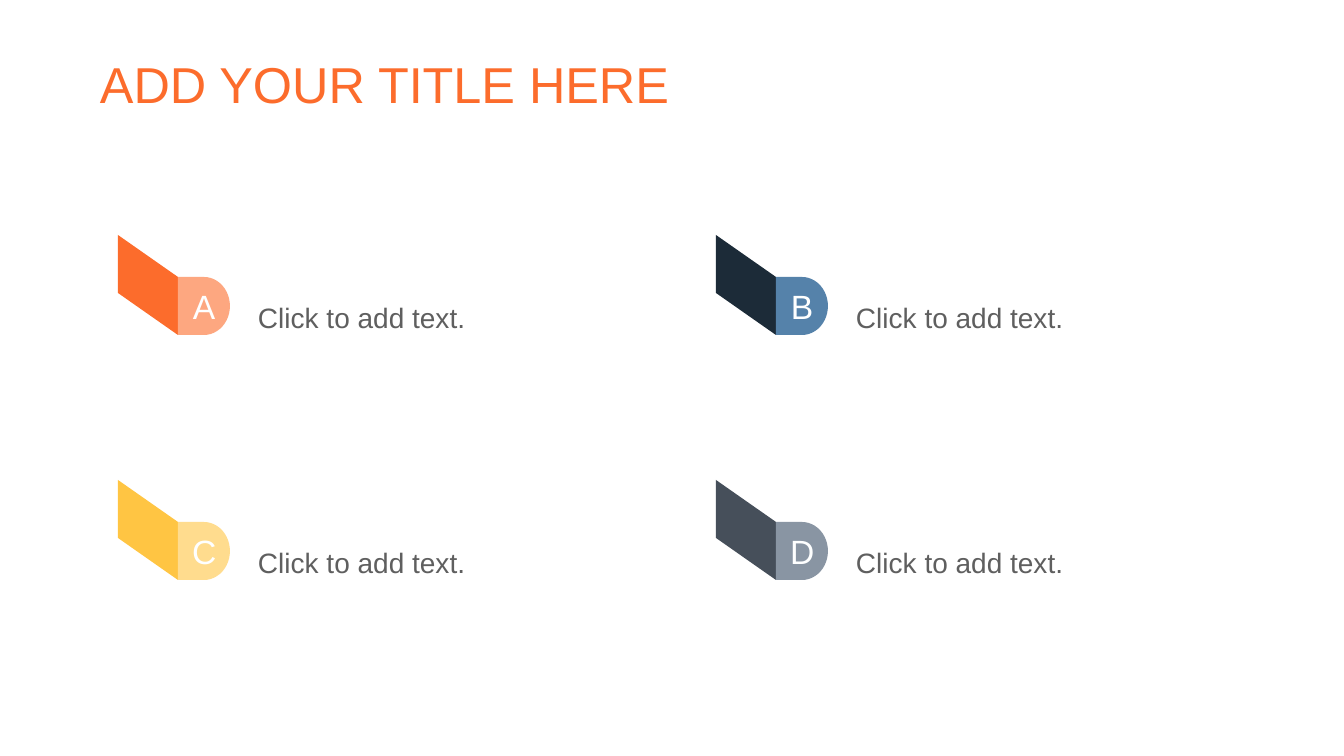
from pptx import Presentation
from pptx import util as u
from pptx.dml.color import RGBColor
from pptx.enum import shapes, text

PX = u.Inches(1) / 100.8

ORANGE = RGBColor(0xFC, 0x6C, 0x2C)
PEACH = RGBColor(0xFD, 0xA7, 0x80)
NAVY = RGBColor(0x1C, 0x2B, 0x38)
BLUE = RGBColor(0x55, 0x82, 0xAA)
YELLOW = RGBColor(0xFF, 0xC5, 0x43)
CREAM = RGBColor(0xFF, 0xDC, 0x8E)
SLATE = RGBColor(0x46, 0x4F, 0x5A)
SILVER = RGBColor(0x89, 0x95, 0xA3)
GREY = RGBColor(0x5F, 0x5F, 0x5F)
WHITE = RGBColor(0xFE, 0xFF, 0xFF)


def px(*lengths):
    return [u.Emu(round(n * PX)) for n in lengths]


def write(sp, words, size, color, insets, align=text.PP_ALIGN.LEFT, spacing=1.0):
    """Fill a shape with one middle-anchored line; insets are left, top, right, bottom in px."""
    tf = sp.text_frame
    tf.word_wrap = True
    tf.vertical_anchor = text.MSO_ANCHOR.MIDDLE
    tf.margin_left, tf.margin_top, tf.margin_right, tf.margin_bottom = px(*insets)
    p = tf.paragraphs[0]
    p.alignment = align
    p.line_spacing = spacing
    r = p.add_run()
    r.text = words
    r.font.name = "Arial"
    r.font.size = u.Pt(size)
    r.font.color.rgb = color


prs = Presentation()
prs.slide_width, prs.slide_height = px(1344, 756)
s = prs.slides.add_slide(prs.slide_layouts[6])

# Four lettered ribbons in a two by two grid
LEFT, TOP, COLUMN_STEP, ROW_STEP = 118, 235, 598, 245
FOLD_W, FOLD_DROP, TAB_W, TAB_H = 60, 42, 52, 58
ribbons = [
    ("A", ORANGE, PEACH),
    ("B", NAVY, BLUE),
    ("C", YELLOW, CREAM),
    ("D", SLATE, SILVER),
]
for i, (letter, fold_color, tab_color) in enumerate(ribbons):
    row, column = divmod(i, 2)
    x, y = LEFT + column * COLUMN_STEP, TOP + row * ROW_STEP
    group = s.shapes.add_group_shape().shapes

    outline = group.build_freeform(x, y, scale=PX)
    outline.add_line_segments([
        (x + FOLD_W, y + FOLD_DROP),
        (x + FOLD_W, y + FOLD_DROP + TAB_H),
        (x, y + TAB_H),
    ])
    fold = outline.convert_to_shape()
    tab = group.add_shape(shapes.MSO_SHAPE.FLOWCHART_DELAY,
                          *px(x + FOLD_W, y + FOLD_DROP, TAB_W, TAB_H))
    for sp, color in ((fold, fold_color), (tab, tab_color)):
        sp.shadow.inherit = False
        sp.fill.solid()
        sp.fill.fore_color.rgb = color
        sp.line.fill.background()
    # The left inset centres the letter on the full width of the tab
    write(tab, letter, 24, WHITE, (8, 0, 0, 0), text.PP_ALIGN.CENTER)

    label = group.add_textbox(*px(x + 130, y + 26, 380, 96))
    write(label, "Click to add text.", 20, GREY, (10, 5, 10, 5), spacing=1.5)

title = s.shapes.add_textbox(*px(93, 40, 1159, 95))
write(title, "ADD YOUR TITLE HERE", 36, ORANGE, (7, 4, 7, 4), spacing=0.9)

prs.save("out.pptx")
